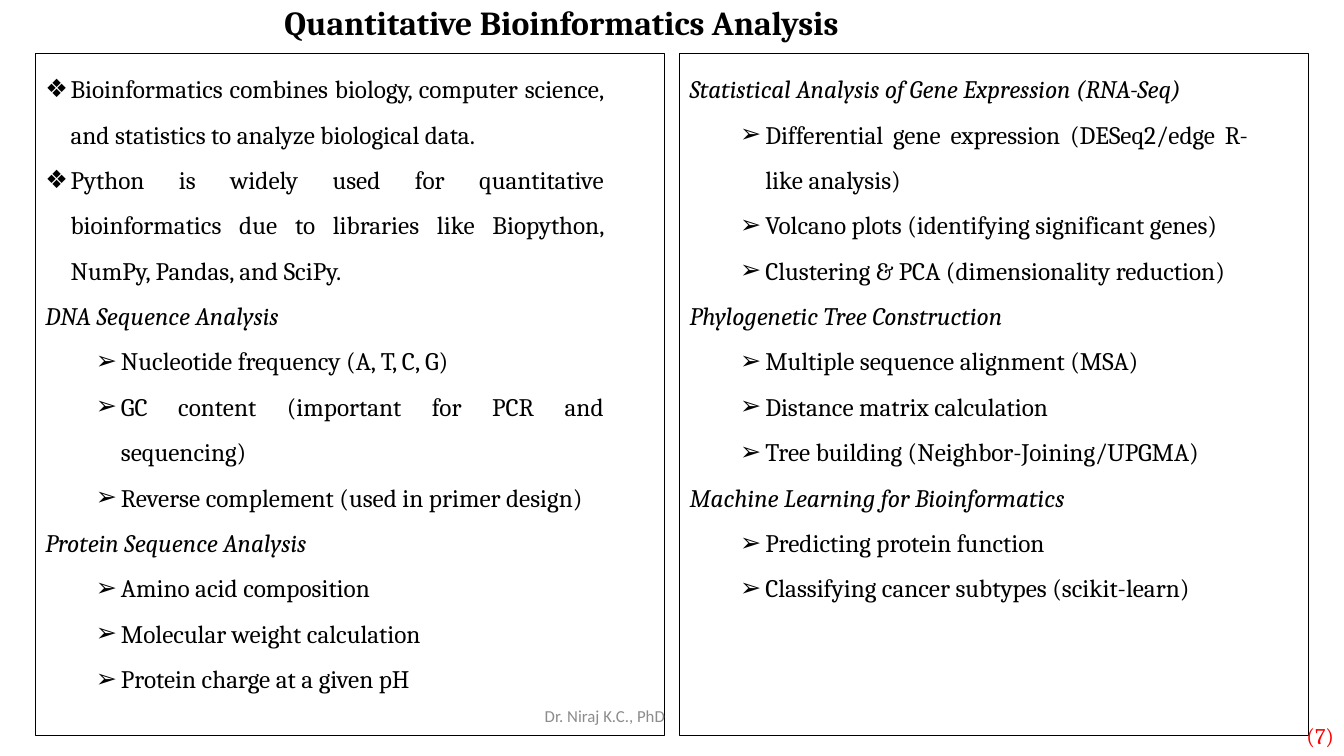
from dataclasses import dataclass

from lxml.etree import SubElement
from pptx import Presentation
from pptx.dml.color import RGBColor as Color
from pptx.enum.text import MSO_ANCHOR as Anchor
from pptx.enum.text import MSO_AUTO_SIZE as Fit
from pptx.enum.text import PP_ALIGN as Align
from pptx.oxml.ns import qn
from pptx.util import Inches, Pt


@dataclass(frozen=True)
class Theme:
    serif: str = "Cambria"
    sans: str = "Calibri"
    ink: str = "000000"
    red: str = "FF0000"
    gray: str = "8C8C8C"
    title: int = 24
    body: int = 18
    page: int = 16
    foot: int = 12


THEME = Theme()

KINDS = {
    "lead": (0, 0.25, "❖"),
    "head": (0, 0, None),
    "item": (1, 0.75, "➢"),
}

LEFT = [
    ("lead", "Bioinformatics combines biology, computer science, and statistics to analyze biological data."),
    ("lead", "Python is widely used for quantitative bioinformatics due to libraries like Biopython, NumPy, Pandas, and SciPy."),
    ("head", "DNA Sequence Analysis"),
    ("item", "Nucleotide frequency (A, T, C, G)"),
    ("item", "GC content (important for PCR and sequencing)"),
    ("item", "Reverse complement (used in primer design)"),
    ("head", "Protein Sequence Analysis"),
    ("item", "Amino acid composition"),
    ("item", "Molecular weight calculation"),
    ("item", "Protein charge at a given pH"),
]

RIGHT = [
    ("head", "Statistical Analysis of Gene Expression (RNA-Seq)"),
    ("item", "Differential gene expression (DESeq2/edge R-like analysis)"),
    ("item", "Volcano plots (identifying significant genes)"),
    ("item", "Clustering & PCA (dimensionality reduction)"),
    ("head", "Phylogenetic Tree Construction"),
    ("item", "Multiple sequence alignment (MSA)"),
    ("item", "Distance matrix calculation"),
    ("item", "Tree building (Neighbor-Joining/UPGMA)"),
    ("head", "Machine Learning for Bioinformatics"),
    ("item", "Predicting protein function"),
    ("item", "Classifying cancer subtypes (scikit-learn)"),
]


def place(shape, left, top, width, height):
    shape.left, shape.top = Inches(left), Inches(top)
    shape.width, shape.height = Inches(width), Inches(height)


def style(para, size, color, face=THEME.serif, bold=False, italic=False):
    font = para.font
    font.name, font.size = face, Pt(size)
    font.bold, font.italic = bold, italic
    font.color.rgb = Color.from_string(color)


def set_mark(para, indent, mark):
    props = para._p.get_or_add_pPr()
    props.set("marL", str(Inches(indent)))
    props.set("indent", str(Inches(-0.25 if mark else 0)))
    if mark:
        SubElement(props, qn("a:buChar")).set("char", mark)
    else:
        SubElement(props, qn("a:buNone"))


def add_title(slide, text):
    title = slide.shapes.title
    place(title, 2.72, 0, 6.06, 0.48)
    frame = title.text_frame
    frame.text = text
    frame.auto_size = Fit.NONE
    frame.vertical_anchor = Anchor.MIDDLE
    para = frame.paragraphs[0]
    para.alignment = Align.LEFT
    para.line_spacing = 0.9
    style(para, THEME.title, THEME.ink, bold=True)


def fill_panel(panel, left, lines):
    place(panel, left, 0.53, 6.24, 6.77)
    panel.line.color.rgb = Color.from_string(THEME.ink)
    panel.line.width = Pt(0.75)
    frame = panel.text_frame
    frame.auto_size = Fit.NONE
    frame.vertical_anchor = Anchor.TOP
    frame.margin_right = Inches(0.6)
    frame.text = "\n".join(text for kind, text in lines)
    for para, (kind, text) in zip(frame.paragraphs, lines):
        level, indent, mark = KINDS[kind]
        para.level = level
        para.alignment = Align.JUSTIFY
        para.line_spacing = 1.5
        para.space_before = para.space_after = Pt(0)
        set_mark(para, indent, mark)
        style(para, THEME.body, THEME.ink, italic=kind == "head")


def add_label(slide, box, text, align, size, color, face):
    label = slide.shapes.add_textbox(*map(Inches, box))
    frame = label.text_frame
    frame.word_wrap = True
    frame.vertical_anchor = Anchor.MIDDLE
    frame.text = text
    para = frame.paragraphs[0]
    para.alignment = align
    style(para, size, color, face)


def main():
    deck = Presentation()
    deck.slide_width, deck.slide_height = Inches(13.33), Inches(7.5)
    slide = deck.slides.add_slide(deck.slide_layouts.get_by_name("Two Content"))
    add_title(slide, "Quantitative Bioinformatics Analysis")
    fill_panel(slide.placeholders[1], 0.35, LEFT)
    fill_panel(slide.placeholders[2], 6.74, RIGHT)
    add_label(slide, (10.33, 7.1, 3, 0.4), "(7)", Align.RIGHT,
              THEME.page, THEME.red, THEME.serif)
    add_label(slide, (3.75, 6.9, 4.5, 0.4), "Dr. Niraj K.C., PhD", Align.CENTER,
              THEME.foot, THEME.gray, THEME.sans)
    deck.save("out.pptx")


if __name__ == "__main__":
    main()
